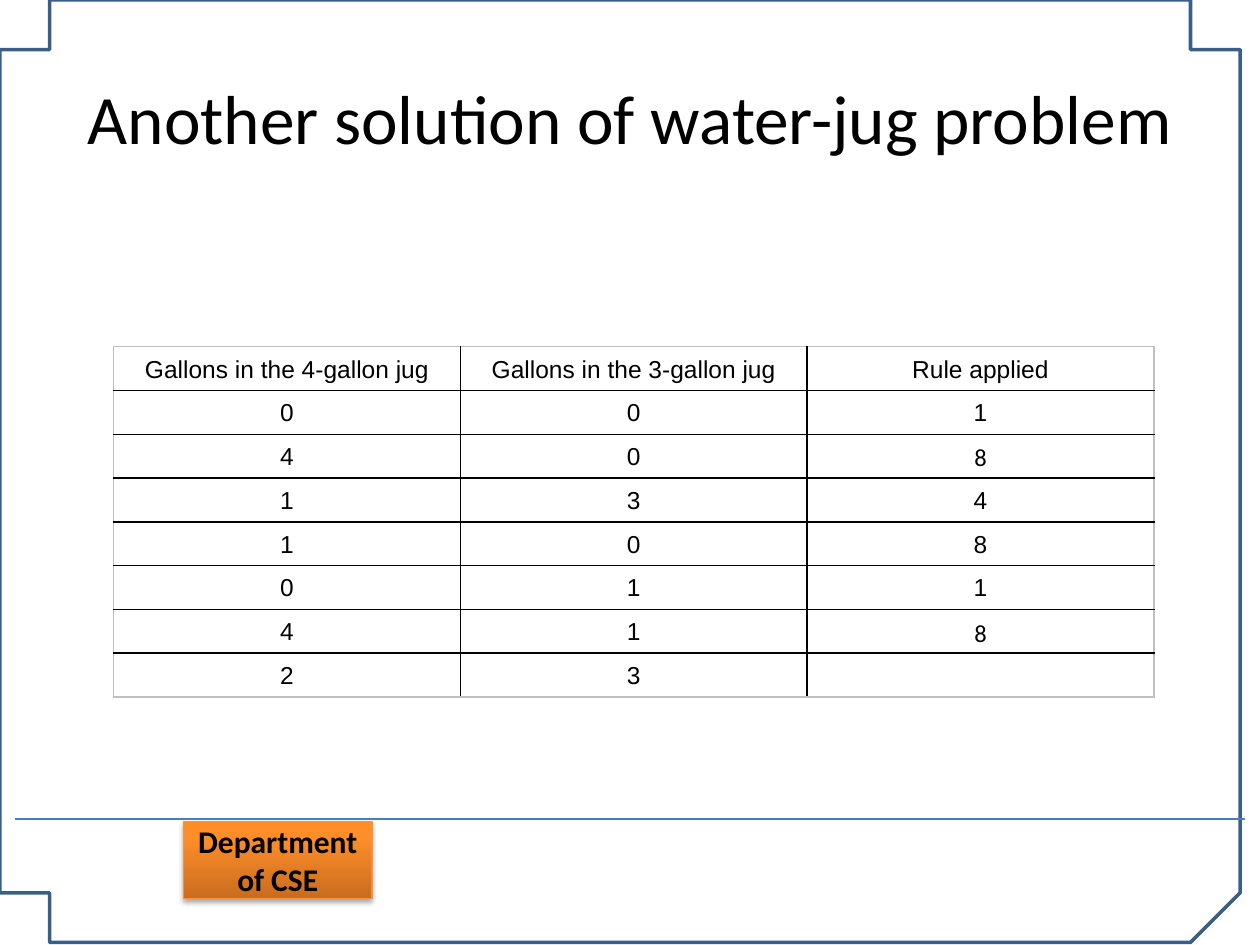
from copy import deepcopy
from dataclasses import dataclass

from lxml.etree import SubElement
from pptx import Presentation
from pptx.dml.color import RGBColor as RGB
from pptx.enum.shapes import MSO_CONNECTOR as Connector, MSO_SHAPE as Preset
from pptx.enum.text import MSO_ANCHOR as Anchor, PP_ALIGN as Align
from pptx.oxml.ns import qn
from pptx.util import Cm, Pt


@dataclass(frozen=True)
class Theme:
    text: str = "000000"
    frame: str = "395E89"
    rule: str = "4A7DBA"
    badge_edge: str = "F5913F"
    badge_stops: tuple = ((0, "C86C1F"), (0.8, "FF8E29"), (1, "FF8D25"))
    grid: str = "000000"
    grid_edge: str = "BFBFBF"
    heading_font: str = "Calibri"
    table_font: str = "Arial"
    title_size: float = 39.6
    badge_size: float = 18
    table_size: float = 14


theme = Theme()


def write(frame, text, font_name, size, bold=False, spacing=1.0):
    """Centre one line of text in a frame, in both directions."""
    frame.word_wrap = True
    frame.vertical_anchor = Anchor.MIDDLE
    paragraph = frame.paragraphs[0]
    for name, value in {"alignment": Align.CENTER, "line_spacing": spacing}.items():
        setattr(paragraph, name, value)
    if not text:
        SubElement(paragraph._p, qn("a:endParaRPr"), sz=str(int(size * 100)))
        return
    run = paragraph.add_run()
    run.text = text
    for name, value in {"name": font_name, "size": Pt(size), "bold": bold}.items():
        setattr(run.font, name, value)
    run.font.color.rgb = RGB.from_string(theme.text)


def bezier(start, control_a, control_b, end, steps=24):
    """Points along a cubic curve, in centimetres."""
    points = []
    for step in range(steps + 1):
        t = step / steps
        weights = ((1 - t) ** 3, 3 * t * (1 - t) ** 2, 3 * t**2 * (1 - t), t**3)
        corners = (start, control_a, control_b, end)
        points.append(tuple(sum(w * c[axis] for w, c in zip(weights, corners))
                            for axis in (0, 1)))
    return points


deck = Presentation()
deck.slide_width, deck.slide_height = Cm(25.4), Cm(19.05)
slide = deck.slides.add_slide(deck.slide_layouts[6])
shapes = slide.shapes

# Rounded page frame
left, right = 0.3, 25.1
corner_curves = (
    ((left, 3.43), (left, 1.75), (0.23, 0.33), (1.65, 0.33)),
    ((23.9, 0.41), (25.32, 0.41), (right, 1.75), (right, 3.43)),
    ((right, 15.67), (right, 17.35), (25.22, 18.72), (23.77, 18.72)),
    ((1.5, 18.69), (0.08, 18.69), (left, 17.35), (left, 15.67)),
)
outline = [point for curve in corner_curves for point in bezier(*curve)]
builder = shapes.build_freeform(*outline[0], scale=Cm(1))
builder.add_line_segments(outline[1:], close=True)
page_frame = builder.convert_to_shape()
page_frame.shadow.inherit = False
page_frame.fill.background()
page_frame.line.color.rgb = RGB.from_string(theme.frame)
page_frame.line.width = Pt(2)

# Department badge
badge = shapes.add_shape(Preset.RECTANGLE, Cm(3.7), Cm(16.56), Cm(3.8), Cm(1.56))
badge.line.color.rgb = RGB.from_string(theme.badge_edge)
badge.line.width = Pt(0.75)
badge.fill.gradient()
badge.fill.gradient_angle = 90
stop_list = badge._element.spPr.find(".//" + qn("a:gsLst"))
stop_list.append(deepcopy(stop_list[-1]))
for stop, (position, color) in zip(badge.fill.gradient_stops, theme.badge_stops):
    stop.position = position
    stop.color.rgb = RGB.from_string(color)
badge.shadow.inherit = False
shadow = SubElement(badge._element.spPr.find(qn("a:effectLst")), qn("a:outerShdw"),
                    blurRad=str(Pt(3.1)), dist=str(Pt(1.8)), dir="5400000",
                    rotWithShape="0")
shadow_color = SubElement(shadow, qn("a:srgbClr"), val="000000")
SubElement(shadow_color, qn("a:alpha"), val="35000")
write(badge.text_frame, "Department of CSE", theme.heading_font, theme.badge_size, bold=True)

# Footer rule
footer_rule = shapes.add_connector(Connector.STRAIGHT, Cm(left), Cm(16.51), Cm(right), Cm(16.51))
footer_rule.line.color.rgb = RGB.from_string(theme.rule)
footer_rule.line.width = Pt(0.75)
SubElement(footer_rule._element.spPr, qn("a:effectLst"))

title = shapes.add_textbox(Cm(1.27), Cm(0.76), Cm(22.86), Cm(3.18))
write(title.text_frame, "Another solution of water-jug problem", theme.heading_font, theme.title_size)

# Steps of the solution
steps = (
    ("Gallons in the 4-gallon jug", "Gallons in the 3-gallon jug", "Rule applied"),
    ("0", "0", "1"),
    ("4", "0", "8"),
    ("1", "3", "4"),
    ("1", "0", "8"),
    ("0", "1", "1"),
    ("4", "1", "8"),
    ("2", "3", ""),
)
calibri_cells = {(2, 2), (6, 2)}
last_row, last_column = len(steps) - 1, len(steps[0]) - 1
column_width, row_height = Cm(6.99), Cm(0.85)
table = shapes.add_table(len(steps), len(steps[0]), Cm(2.29), Cm(6.99),
                         column_width * len(steps[0]), row_height * len(steps)).table
table.first_row = table.horz_banding = False
for column in table.columns:
    column.width = column_width
cell_format = {"margin_left": Cm(0.15), "margin_right": Cm(0.15),
               "margin_top": Cm(0.1), "margin_bottom": Cm(0.1),
               "vertical_anchor": Anchor.TOP}
for r, values in enumerate(steps):
    table.rows[r].height = row_height
    for c, value in enumerate(values):
        cell = table.cell(r, c)
        font_name = theme.heading_font if (r, c) in calibri_cells else theme.table_font
        write(cell.text_frame, value, font_name, theme.table_size, spacing=1.15)
        for name, setting in cell_format.items():
            setattr(cell, name, setting)
        on_edge = {"L": c == 0, "R": c == last_column, "T": r == 0, "B": r == last_row}
        properties = cell._tc.get_or_add_tcPr()
        for side, is_outer in on_edge.items():
            border = SubElement(properties, qn(f"a:ln{side}"), w=str(Pt(1)))
            border_fill = SubElement(border, qn("a:solidFill"))
            SubElement(border_fill, qn("a:srgbClr"),
                       val=theme.grid_edge if is_outer else theme.grid)
        cell.fill.background()

deck.save("out.pptx")
